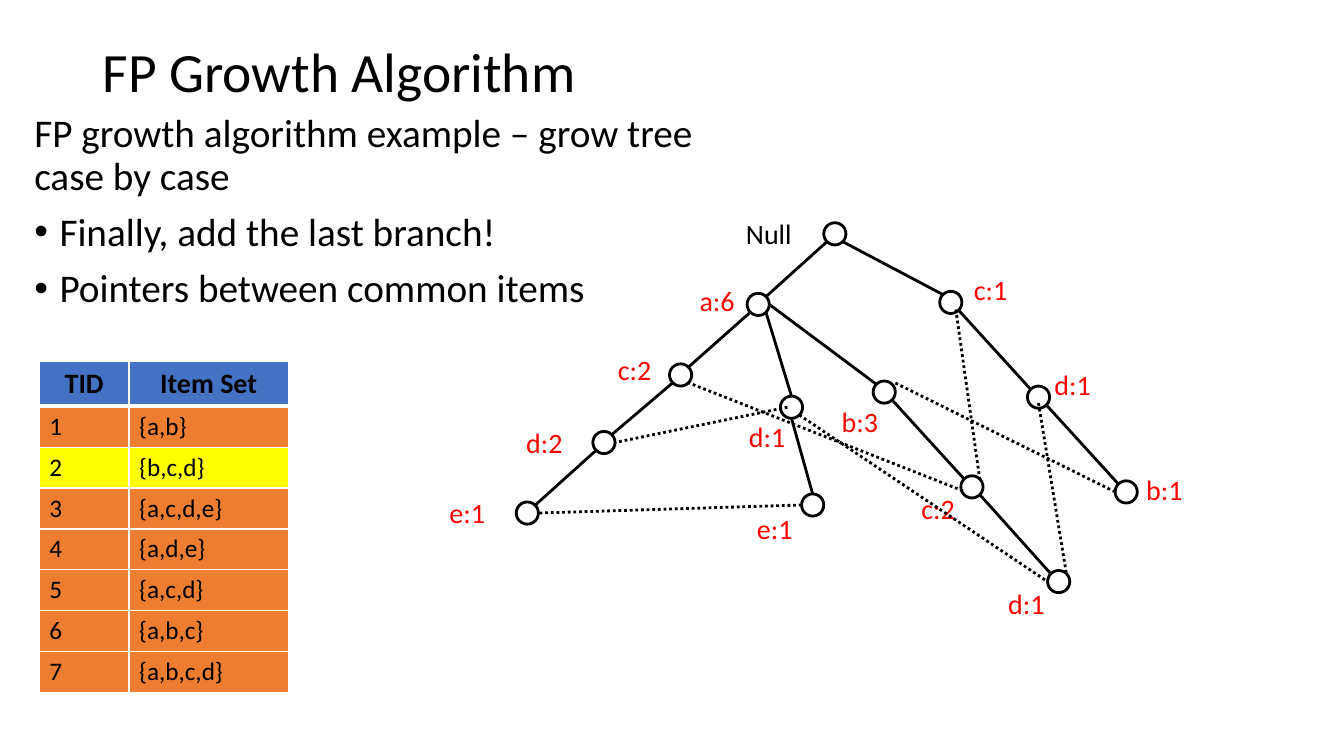
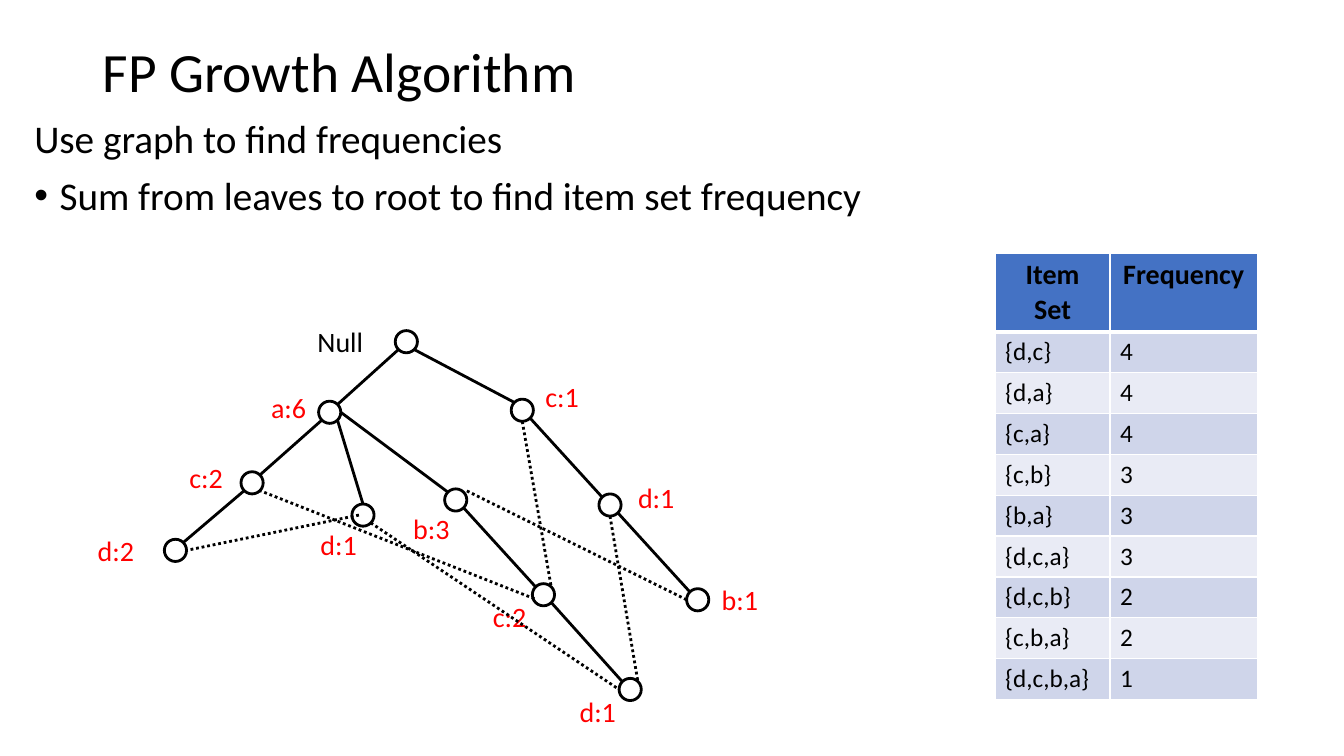
import pptx
import pptx.util
import pptx.dml.color
import pptx.enum.dml
import pptx.enum.shapes
import pptx.enum.text
import pptx.oxml
import pptx.oxml.ns

# Shared look
FONT = "Calibri"
BLACK, WHITE, RED = "000000", "FFFFFF", "FF0000"
BLUE, ORANGE, YELLOW = "4472C4", "ED7D31", "FFFF00"
BAND_DARK, BAND_LIGHT = "CFD5EA", "E9EBF5"
TITLE = dict(size=39.6, color=BLACK)
BODY = dict(size=28, color=BLACK)
HEAD = dict(size=20, color=BLACK, bold=True)
CELL = dict(size=18, color=BLACK, bold=False)

# The slide is a grid of square cells: 13.33 columns by 7.5 rows
COLS, ROWS = 13.33, 7.5
UNIT = pptx.util.Inches(1)
TITLE_BOX = (0.92, 0.4, 11.5, 0.68)
ROW_H = 0.4
NODE = 0.22
LABEL_W, LABEL_H = 0.6, 0.44

ALIGN = pptx.enum.text.PP_ALIGN
ANCHOR = pptx.enum.text.MSO_ANCHOR

# Tree nodes: text, offset from the root, label offset from the node, label width
NODES = {
    "root": ("Null", (0, 0), (-0.87, -0.11), 0.71),
    "a": ("a:6", (-0.76, 0.7), (-0.57, -0.15), 0.74),
    "ac": ("c:2", (-1.53, 1.4), (-0.61, -0.16), LABEL_W),
    "acd": ("d:2", (-2.29, 2.07), (-0.76, -0.11), LABEL_W),
    "acde": ("e:1", (-3.05, 2.77), (-0.76, -0.11), LABEL_W),
    "ad": ("d:1", (-0.43, 1.72), (-0.41, 0.18), LABEL_W),
    "ade": ("e:1", (-0.22, 2.69), (-0.54, 0.13), LABEL_W),
    "ab": ("b:3", (0.49, 1.57), (-0.41, 0.18), LABEL_W),
    "abc": ("c:2", (1.36, 2.51), (-0.49, 0.11), LABEL_W),
    "abcd": ("d:1", (2.22, 3.45), (-0.49, 0.11), LABEL_W),
    "c": ("c:1", (1.15, 0.68), (0.24, -0.24), LABEL_W),
    "cd": ("d:1", (2.02, 1.62), (0.29, -0.18), LABEL_W),
    "cdb": ("b:1", (2.89, 2.56), (0.25, -0.11), LABEL_W),
}

# Points on a node, as shares of its box
SITES = {
    "n": (0.5, 0), "s": (0.5, 1), "w": (0, 0.5), "e": (1, 0.5),
    "nw": (0.15, 0.15), "ne": (0.85, 0.15), "sw": (0.15, 0.85), "se": (0.85, 0.85),
    "core": (0.32, 0.5), "low w": (0.09, 0.68), "high ne": (1, 0.09),
}

# Branches are solid, pointers between common items are dotted
BRANCHES = [
    ("root", "sw", "a", "ne"), ("a", "sw", "ac", "ne"), ("ac", "sw", "acd", "ne"),
    ("acd", "sw", "acde", "ne"), ("a", "se", "ad", "n"), ("ad", "s", "ade", "n"),
    ("a", "e", "ab", "nw"), ("ab", "se", "abc", "nw"), ("abc", "se", "abcd", "nw"),
    ("root", "se", "c", "nw"), ("c", "se", "cd", "nw"), ("cd", "se", "cdb", "nw"),
]
POINTERS = [
    ("ad", "core", "acd", "e"), ("ade", "w", "acde", "e"), ("abc", "low w", "ac", "se"),
    ("ad", "se", "abcd", "w"), ("cd", "s", "abcd", "ne"), ("c", "s", "abc", "ne"),
    ("cdb", "w", "ab", "high ne"),
]


def rgb(hex_text):
    return pptx.dml.color.RGBColor.from_string(hex_text)


def grid(*lengths):
    return [round(n * UNIT) for n in lengths]


def assign(obj, values):
    for name, value in values.items():
        setattr(obj, name, value)


def place(obj, box):
    assign(obj, dict(zip(("left", "top", "width", "height"), grid(*box))))


def write(p, text, size, color, **font):
    r = p.add_run()
    r.text = text
    assign(r.font, dict(name=FONT, size=pptx.util.Pt(size), **font))
    r.font.color.rgb = rgb(color)


def set_bullet(p, shown):
    pPr = p._p.get_or_add_pPr()
    indent = UNIT // 4 if shown else 0
    pPr.set("marL", str(indent))
    pPr.set("indent", str(-indent))
    tag = '<a:buChar %s char="•"/>' if shown else "<a:buNone %s/>"
    pPr.append(pptx.oxml.parse_xml(tag % pptx.oxml.ns.nsdecls("a")))


def add_heading(s, box, lead, bullets):
    """Title, then a lead line with bullets under it in the given box."""
    title, body = s.shapes.title, s.placeholders[1]
    place(title, TITLE_BOX)
    place(body, box)
    for sp, anchor in ((title, ANCHOR.MIDDLE), (body, ANCHOR.TOP)):
        assign(sp.text_frame, dict(vertical_anchor=anchor, word_wrap=True,
                                   auto_size=pptx.enum.text.MSO_AUTO_SIZE.NONE))
    p = title.text_frame.paragraphs[0]
    assign(p, dict(alignment=ALIGN.LEFT, line_spacing=0.9))
    write(p, "FP Growth Algorithm", **TITLE)
    tf = body.text_frame
    for i, text in enumerate([lead] + bullets):
        p = tf.add_paragraph() if i else tf.paragraphs[0]
        assign(p, dict(line_spacing=0.9, space_before=pptx.util.Pt(10)))
        set_bullet(p, i > 0)
        write(p, text, **BODY)


def set_borders(cell, top, bottom):
    tcPr = cell._tc.get_or_add_tcPr()
    for side, width in (("L", 1), ("R", 1), ("T", top), ("B", bottom)):
        tcPr.append(pptx.oxml.parse_xml(
            f'<a:ln{side} {pptx.oxml.ns.nsdecls("a")} w="{pptx.util.Pt(width)}">'
            f'<a:solidFill><a:srgbClr val="{WHITE}"/></a:solidFill></a:ln{side}>'))


def add_grid_table(s, left, top, widths, rows, fills):
    """Table with a blue header row; fills gives each later row its colour."""
    frame = s.shapes.add_table(len(rows), len(widths),
                               *grid(left, top, sum(widths), ROW_H * len(rows)))
    table = frame.table
    for column, width in zip(table.columns, grid(*widths)):
        column.width = width
    for i, (row, fill) in enumerate(zip(rows, [BLUE] + fills)):
        table.rows[i].height = grid(ROW_H)[0]
        for j, text in enumerate(row):
            cell = table.cell(i, j)
            set_borders(cell, top=3 if i == 1 else 1, bottom=1 if i else 3)
            cell.fill.solid()
            cell.fill.fore_color.rgb = rgb(fill)
            p = cell.text_frame.paragraphs[0]
            p.alignment = ALIGN.LEFT if i else ALIGN.CENTER
            write(p, text, **(CELL if i else HEAD))


def set_line(sp, dash=None):
    sp.line.color.rgb = rgb(BLACK)
    sp.line.width = pptx.util.Pt(2)
    if dash:
        sp.line.dash_style = dash


def add_tree(s, left, top, skip=(), label_moves=None, site_moves=None):
    """FP tree with its root node's box at left, top."""
    label_moves, site_moves = label_moves or {}, site_moves or {}
    corners = {}

    # Nodes and labels
    for name, (text, (dx, dy), label, width) in NODES.items():
        if name in skip:
            continue
        x, y = corners[name] = left + dx, top + dy
        node = s.shapes.add_shape(pptx.enum.shapes.MSO_SHAPE.OVAL, *grid(x, y, NODE, NODE))
        node.shadow.inherit = False
        node.fill.background()
        set_line(node)
        lx, ly = label_moves.get(name, label)
        tf = s.shapes.add_textbox(*grid(x + lx, y + ly, width, LABEL_H)).text_frame
        tf.word_wrap = True
        write(tf.paragraphs[0], text, 20, BLACK if name == "root" else RED)

    def point(name, site):
        sx, sy = site_moves.get((name, site), SITES[site])
        x, y = corners[name]
        return grid(x + sx * NODE, y + sy * NODE)

    # Branches and pointers
    dotted = pptx.enum.dml.MSO_LINE.ROUND_DOT
    for links, dash in ((BRANCHES, None), (POINTERS, dotted)):
        for start, start_site, end, end_site in links:
            if start in skip or end in skip:
                continue
            line = s.shapes.add_connector(pptx.enum.shapes.MSO_CONNECTOR.STRAIGHT,
                                          *point(start, start_site), *point(end, end_site))
            set_line(line, dash)
            line._element.spPr.append(pptx.oxml.parse_xml(
                f'<a:effectLst {pptx.oxml.ns.nsdecls("a")}/>'))


def build_growth_slide(s):
    add_heading(s, (0.24, 1.08, 7, 2.42),
                "FP growth algorithm example – grow tree case by case",
                ["Finally, add the last branch!", "Pointers between common items"])
    item_sets = ["{a,b}", "{b,c,d}", "{a,c,d,e}", "{a,d,e}", "{a,c,d}", "{a,b,c}", "{a,b,c,d}"]
    rows = [("TID", "Item Set")] + [(str(i), t) for i, t in enumerate(item_sets, 1)]
    fills = [YELLOW if t == "{b,c,d}" else ORANGE for t in item_sets]
    add_grid_table(s, 0.39, 3.59, (0.89, 1.58), rows, fills)
    add_tree(s, 8.17, 2.21,
             label_moves={"cd": (0.17, -0.23), "cdb": (0.21, -0.13)},
             site_moves={("c", "s"): (0.73, 0.82), ("cd", "s"): (0.5, 0.77)})


def build_frequency_slide(s):
    add_heading(s, (0.24, 1.14, 8.81, 1.69), "Use graph to find frequencies",
                ["Sum from leaves to root to find item set frequency"])
    counts = {"{d,c}": 4, "{d,a}": 4, "{c,a}": 4, "{c,b}": 3, "{b,a}": 3,
              "{d,c,a}": 3, "{d,c,b}": 2, "{c,b,a}": 2, "{d,c,b,a}": 1}
    rows = [("Item Set", "Frequency")] + [(t, str(n)) for t, n in counts.items()]
    fills = [BAND_LIGHT if i % 2 else BAND_DARK for i in range(len(counts))]
    add_grid_table(s, 9.87, 2.51, (1.14, 1.46), rows, fills)
    add_tree(s, 3.92, 3.28, skip=("acde", "ade"))


def main():
    prs = pptx.Presentation()
    prs.slide_width, prs.slide_height = grid(COLS, ROWS)
    for build in (build_growth_slide, build_frequency_slide):
        build(prs.slides.add_slide(prs.slide_layouts[1]))
    prs.save("out.pptx")


if __name__ == "__main__":
    main()
